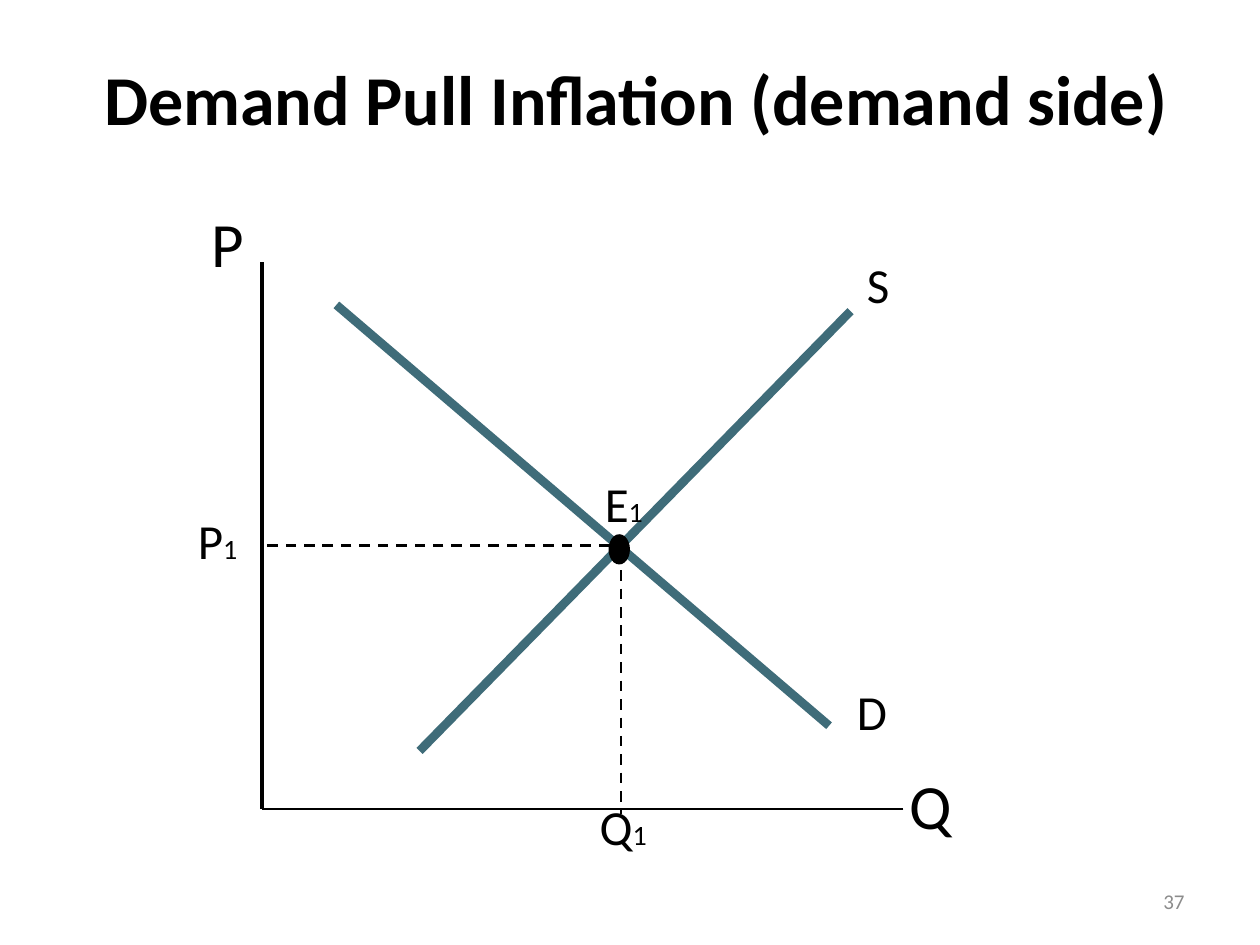
from dataclasses import dataclass

from lxml.etree import SubElement
from pptx import Presentation
from pptx.dml.color import RGBColor
from pptx.enum.dml import MSO_LINE
from pptx.enum.shapes import MSO_CONNECTOR, MSO_SHAPE
from pptx.enum.text import MSO_ANCHOR, PP_ALIGN
from pptx.oxml.ns import qn
from pptx.util import Pt

PX = 9144


@dataclass(frozen=True)
class Theme:
    """Colours, font and type sizes of the slide."""
    font: str = "Calibri"
    ink: str = "000000"
    curve: str = "3F6C79"
    muted: str = "8C8C8C"
    title: int = 40
    axis: int = 36
    label: int = 28
    index: int = 16
    number: int = 12


THEME = Theme()


def add_text(s, box, text, size, index="", color=THEME.ink, bold=False,
             align=PP_ALIGN.LEFT, anchor=MSO_ANCHOR.TOP, inset=(10, 5), after=0):
    """Add a text box, with an optional small index after the text."""
    tf = s.shapes.add_textbox(*(v * PX for v in box)).text_frame
    tf.word_wrap = True
    tf.vertical_anchor = anchor
    tf.margin_left = tf.margin_right = inset[0] * PX
    tf.margin_top = tf.margin_bottom = inset[1] * PX
    p = tf.paragraphs[0]
    p.alignment = align
    p.space_after = Pt(after)
    for part, pts in ((text, size), (index, THEME.index)):
        if part:
            r = p.add_run()
            r.text = part
            r.font.name = THEME.font
            r.font.size = Pt(pts)
            r.font.bold = bold
            r.font.color.rgb = RGBColor.from_string(color)


def add_line(s, x1, y1, x2, y2, width, color=THEME.ink, dash=None):
    """Add a straight line between two points."""
    line = s.shapes.add_connector(MSO_CONNECTOR.STRAIGHT, *(v * PX for v in (x1, y1, x2, y2)))
    line.line.width = Pt(width)
    line.line.color.rgb = RGBColor.from_string(color)
    if dash:
        line.line.dash_style = dash
    SubElement(line._element.spPr, qn("a:effectLst"))


def add_title(s, box):
    """Place the slide title."""
    add_text(s, box, "Demand Pull Inflation (demand side)", THEME.title, bold=True,
             align=PP_ALIGN.CENTER, anchor=MSO_ANCHOR.MIDDLE)


def add_diagram(s, left, top):
    """Place the supply and demand diagram from its top left corner."""
    lines = [
        (565, 482, 56, 482, 1.5, THEME.ink, None),
        (56, 48, 56, 482, 2, THEME.ink, None),
        (115, 82, 506, 416, 5, THEME.curve, None),
        (181, 436, 523, 87, 5, THEME.curve, None),
        (341, 278, 341, 486, 1.5, THEME.ink, MSO_LINE.DASH),
        (346, 273, 56, 273, 1.5, THEME.ink, MSO_LINE.DASH),
    ]
    for x1, y1, x2, y2, width, color, dash in lines:
        add_line(s, left + x1, top + y1, left + x2, top + y2, width, color, dash)

    labels = [
        ("D", "", 523, 379, THEME.label),
        ("S", "", 531, 40, THEME.label),
        ("P", "", 11, 0, THEME.axis),
        ("Q", "", 565, 446, THEME.axis),
        ("E", "1", 323, 214, THEME.label),
        ("Q", "1", 319, 470, THEME.label),
        ("P", "1", 0, 243, THEME.label),
    ]
    for text, index, x, y, size in labels:
        add_text(s, (left + x, top + y, 50, 69), text, size, index, inset=(5, 2), after=10)

    dot = s.shapes.add_shape(MSO_SHAPE.OVAL, (left + 331) * PX, (top + 264) * PX, 17 * PX, 24 * PX)
    dot.shadow.inherit = False
    dot.fill.solid()
    dot.fill.fore_color.rgb = RGBColor.from_string(THEME.ink)
    dot.line.fill.background()


def add_number(s, box):
    """Place the slide number."""
    add_text(s, box, "37", THEME.number, color=THEME.muted,
             align=PP_ALIGN.RIGHT, anchor=MSO_ANCHOR.MIDDLE)


def main():
    """Build and save the slide."""
    prs = Presentation()
    prs.slide_width, prs.slide_height = 1000 * PX, 750 * PX
    s = prs.slides.add_slide(prs.slide_layouts[6])
    add_title(s, (67, 30, 875, 95))
    add_diagram(s, 152, 160)
    add_number(s, (717, 695, 233, 40))
    prs.save("out.pptx")


if __name__ == "__main__":
    main()
